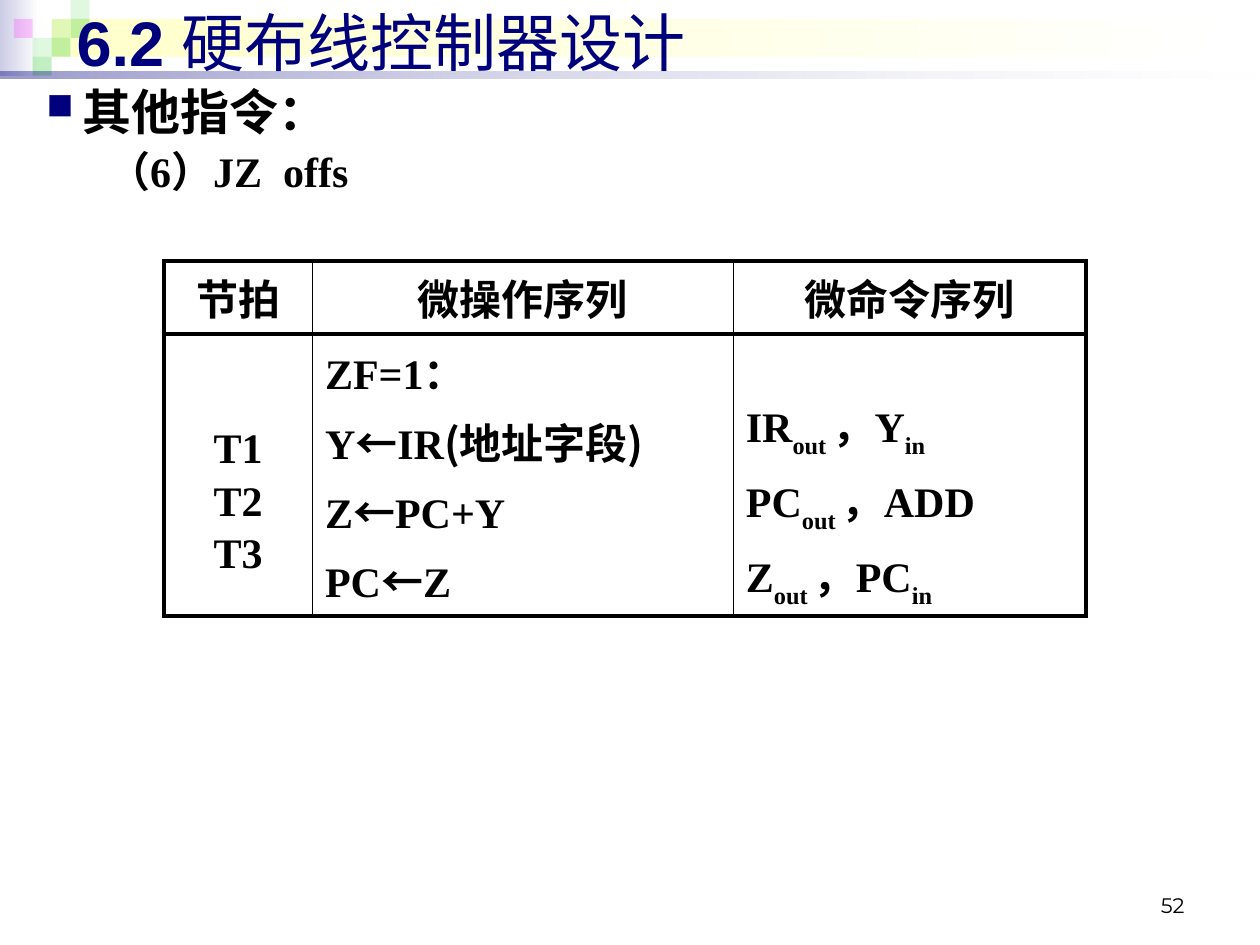
from dataclasses import dataclass

from lxml import etree
from pptx import Presentation, util as u
from pptx.dml.color import RGBColor
from pptx.enum import shapes, text
from pptx.oxml.ns import qn


@dataclass(frozen=True)
class Theme:
    navy: str = "00007D"
    black: str = "000000"
    white: str = "FFFFFF"
    lavender: str = "CCCCE6"
    cream: str = "FFFFCC"
    green: str = "33CC33"
    pink: str = "FF00FF"
    heading: str = "Arial"
    body: str = "Times New Roman"
    symbol: str = "Noto Sans CJK SC"
    number: str = "Montserrat"
    title_size: int = 36
    lead_size: int = 28
    body_size: int = 24
    number_size: int = 12


theme = Theme()
align, anchors = text.PP_ALIGN, text.MSO_ANCHOR
sub = {"baseline": -30}
symbol = {"font": theme.symbol}
arrow = ("←", symbol)


def write(frame, lines, size=theme.body_size, font=theme.body, color=theme.black,
          bold=True, alignment=align.LEFT, before=0, anchor=anchors.TOP):
    """Fill a text frame; a line is a list of strings or (string, run format) pairs."""
    frame.word_wrap = True
    frame.vertical_anchor = anchor
    for index, line in enumerate(lines):
        paragraph = frame.paragraphs[0] if index == 0 else frame.add_paragraph()
        paragraph.alignment = alignment
        paragraph.space_before = u.Pt(before)
        for part in line:
            words, style = (part, {}) if isinstance(part, str) else part
            run = paragraph.add_run()
            run.text = words
            run.font.name = style.get("font", font)
            run.font.size = u.Pt(style.get("size", size))
            run.font.bold = style.get("bold", bold)
            run.font.color.rgb = RGBColor.from_string(color)
            if "baseline" in style:
                run.font._element.set("baseline", str(style["baseline"] * 1000))


def add_block(box, colors, opacities=()):
    """Add a borderless rectangle: one colour is solid, two run left to right."""
    shape = slide.shapes.add_shape(shapes.MSO_SHAPE.RECTANGLE, *map(u.Inches, box))
    shape.shadow.inherit = False
    shape.line.fill.background()
    if len(colors) == 1:
        shape.fill.solid()
        shape.fill.fore_color.rgb = RGBColor.from_string(colors[0])
    else:
        shape.fill.gradient()
        shape.fill.gradient_angle = 0
        for stop, color in zip(shape.fill.gradient_stops, colors):
            stop.color.rgb = RGBColor.from_string(color)
    for node, opacity in zip(shape._element.spPr.iter(qn("a:srgbClr")), opacities):
        etree.SubElement(node, qn("a:alpha"), val=str(opacity * 1000))


presentation = Presentation()
presentation.slide_width, presentation.slide_height = u.Inches(10), u.Inches(7.5)
slide = presentation.slides.add_slide(presentation.slide_layouts[6])

# Header band with its mosaic of squares
unit, mosaic_left = 0.15, 0.11
add_block((0, 0, 0.31, 4 * unit), (theme.lavender, theme.white))
add_block((0.41, unit, 9.55, 2 * unit), (theme.cream, theme.white))
mosaic = [(2, 1, theme.green, 15), (3, 0, theme.green, 15), (3, 1, theme.green, 30),
          (1, 2, theme.green, 15), (0, 1, theme.pink, 20), (2, 2, theme.green, 30),
          (1, 3, theme.green, 30)]
for column, row, color, opacity in mosaic:
    add_block((mosaic_left + column * unit, row * unit, unit, unit), (color,), (opacity,))
add_block((0, 0.57, 10, 0.05), (theme.navy, theme.white), (40, 10))

# Slide number, title and lead lines
number = slide.shapes.add_textbox(*map(u.Inches, (7.17, 6.83, 2.33, 0.5)))
write(number.text_frame, [["52"]], size=theme.number_size, font=theme.number,
      bold=False, alignment=align.RIGHT, anchor=anchors.BOTTOM)

title = slide.shapes.add_textbox(*map(u.Inches, (0.51, -0.03, 9.37, 0.71)))
write(title.text_frame, [["6.2 ", ("硬布线控制器设计", {"bold": False})]],
      size=theme.title_size, font=theme.heading, color=theme.navy, anchor=anchors.MIDDLE)

lead = slide.shapes.add_textbox(*map(u.Inches, (0.27, 0.6, 9.61, 1.02)))
write(lead.text_frame, [[("其他指令：", {"size": theme.lead_size})], ["（6）JZ  offs"]],
      before=2.6)
for paragraph, margin, indent in zip(lead.text_frame.paragraphs, (0.29, 0.89), (-0.29, -0.4)):
    properties = paragraph._p.get_or_add_pPr()
    properties.set("marL", str(u.Inches(margin)))
    properties.set("indent", str(u.Inches(indent)))
bullet = lead.text_frame.paragraphs[0]._p.get_or_add_pPr()
bullet_color = etree.SubElement(bullet, qn("a:buClr"))
etree.SubElement(bullet_color, qn("a:srgbClr"), val=theme.navy)
etree.SubElement(bullet, qn("a:buSzPct"), val="75000")
etree.SubElement(bullet, qn("a:buChar"), char="■")

# Table of beats, micro-operations and micro-commands
widths, heights = (1.18, 3.34, 2.8), (0.58, 2.24)
headers = ("节拍", "微操作序列", "微命令序列")
beats = [["T1"], ["T2"], ["T3"]]
operations = [["ZF=1："],
              ["Y", arrow, "IR", ("(", symbol), "地址字段", (")", symbol)],
              ["Z", arrow, "PC+Y"],
              ["PC", arrow, "Z"]]
commands = [["IR", ("out ", sub), "，Y", ("in", sub)],
            ["PC", ("out ", sub), "，ADD"],
            ["Z", ("out ", sub), "，PC", ("in", sub)]]

frame = slide.shapes.add_table(len(heights), len(widths), u.Inches(1.3), u.Inches(2.07),
                               u.Inches(sum(widths)), u.Inches(sum(heights)))
table = frame.table
table.first_row = table.horz_banding = False
for column, width in zip(table.columns, widths):
    column.width = u.Inches(width)
for row, height in zip(table.rows, heights):
    row.height = u.Inches(height)

contents = [
    [([[header]], align.CENTER, anchors.MIDDLE, 0) for header in headers],
    [(beats, align.CENTER, anchors.MIDDLE, 3.5),
     (operations, align.LEFT, anchors.BOTTOM, 4.8),
     (commands, align.LEFT, anchors.BOTTOM, 4.8)],
]
thick, thin = 2.25, 1
last = len(widths) - 1
for row, entries in enumerate(contents):
    for column, (lines, alignment, anchor, before) in enumerate(entries):
        cell = table.cell(row, column)
        write(cell.text_frame, lines, alignment=alignment, before=before)
        cell.vertical_anchor = anchor
        cell.fill.background()
        borders = {"a:lnL": thin if column else thick,
                   "a:lnR": thin if column < last else thick,
                   "a:lnT": thick, "a:lnB": thick}
        properties = cell._tc.get_or_add_tcPr()
        for position, (side, weight) in enumerate(borders.items()):
            line = etree.Element(qn(side), w=str(u.Pt(weight)))
            solid = etree.SubElement(line, qn("a:solidFill"))
            etree.SubElement(solid, qn("a:srgbClr"), val=theme.black)
            properties.insert(position, line)
table.cell(1, 0).margin_top = u.Inches(0.48)

presentation.save("out.pptx")
